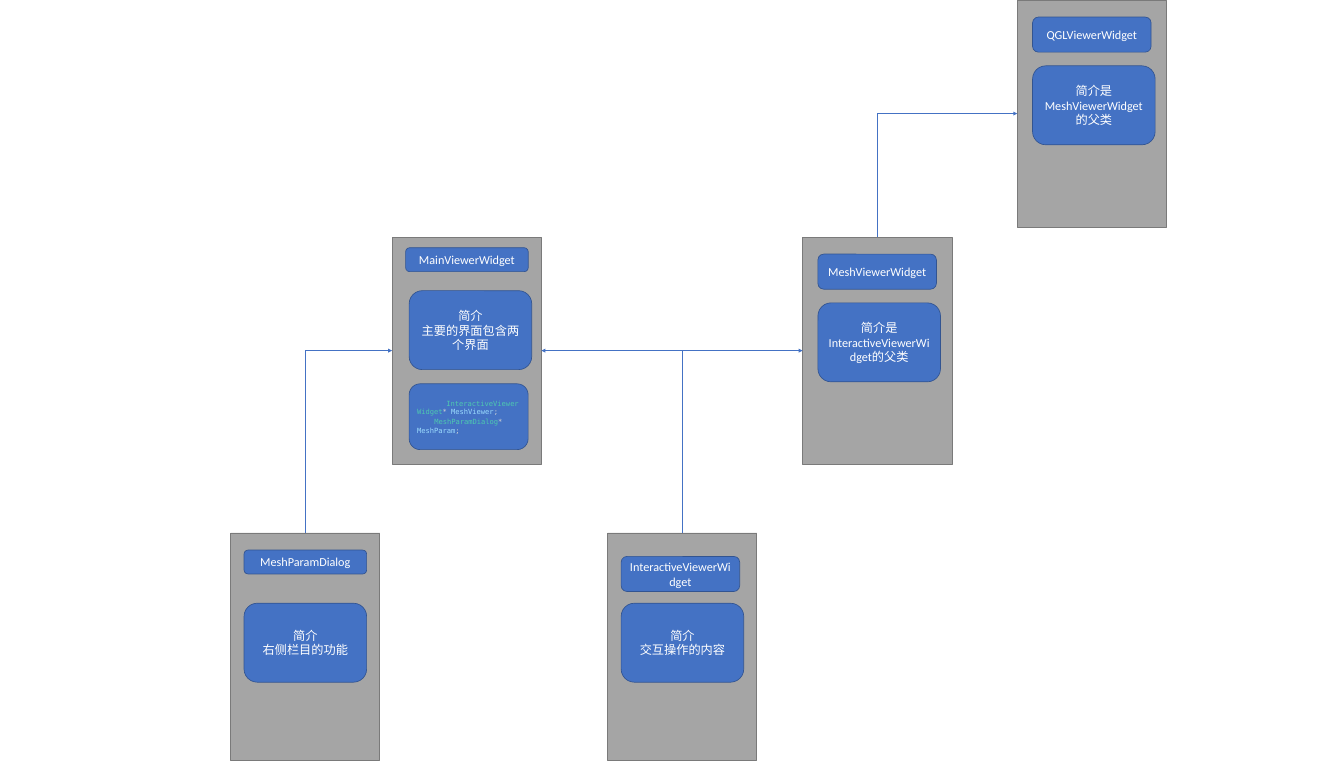
from dataclasses import dataclass

from pptx import Presentation
from pptx.dml.color import RGBColor
from pptx.enum.shapes import MSO_CONNECTOR, MSO_SHAPE
from pptx.enum.text import MSO_ANCHOR, PP_ALIGN
from pptx.oxml.ns import qn
from pptx.shapes.autoshape import Shape
from pptx.util import Pt
from lxml import etree

RECT, ROUND = MSO_SHAPE.RECTANGLE, MSO_SHAPE.ROUNDED_RECTANGLE
ELBOW = MSO_CONNECTOR.ELBOW
MIDDLE = MSO_ANCHOR.MIDDLE
CENTER, LEFT = PP_ALIGN.CENTER, PP_ALIGN.LEFT
TOP_SIDE, LEFT_SIDE, RIGHT_SIDE = 0, 1, 3

GRAY = RGBColor(0xA5, 0xA5, 0xA5)
GRAY_EDGE = RGBColor(0x7A, 0x7A, 0x7A)
BLUE = RGBColor(0x44, 0x72, 0xC4)
BLUE_EDGE = RGBColor(0x32, 0x54, 0x91)
WHITE = RGBColor(0xFF, 0xFF, 0xFF)
CODE_PLAIN = RGBColor(0xD4, 0xD4, 0xD4)
CODE_TYPE = RGBColor(0x4E, 0xC9, 0xB0)
CODE_NAME = RGBColor(0x9C, 0xDC, 0xFE)

PANEL_W, PANEL_H = 220.3, 335.5
NOTE_W, NOTE_H = 181, 116.6


@dataclass(frozen=True)
class Box:
    """A rectangle measured from the corner of its panel."""
    left: float
    top: float
    width: float
    height: float


@dataclass(frozen=True)
class Panel:
    name: str
    left: float
    top: float
    title: Box
    note_left: float
    note_top: float
    note: tuple[str, ...]


@dataclass(frozen=True)
class Link:
    start: str
    end: str


@dataclass(frozen=True)
class Member:
    type_name: str
    name: str
    indent: float
    before: float = 0
    after: float = 0


PANELS = (
    Panel("MainViewerWidget", 578.9, 350, Box(20, 15.8, 181, 35.3), 25.2, 79.2,
          ("简介", "主要的界面包含两个界面")),
    Panel("InteractiveViewerWidget", 897.1, 787, Box(20, 34.6, 175, 51.8), 20, 103.7,
          ("简介", "交互操作的内容")),
    Panel("MeshParamDialog", 340.5, 787, Box(19.8, 25.2, 181, 35.3), 19.8, 103.7,
          ("简介", "右侧栏目的功能")),
    Panel("MeshViewerWidget", 1185.1, 350, Box(22.5, 25.2, 175, 51.8), 22.5, 97.2,
          ("简介是InteractiveViewerWidget的父类",)),
    Panel("QGLViewerWidget", 1502, 0, Box(22.5, 25.2, 175, 51.8), 22.5, 97.2,
          ("简介是MeshViewerWidget的父类",)),
)
LINKS = (
    Link("InteractiveViewerWidget", "MainViewerWidget"),
    Link("MeshParamDialog", "MainViewerWidget"),
    Link("InteractiveViewerWidget", "MeshViewerWidget"),
    Link("MeshViewerWidget", "QGLViewerWidget"),
)
CODE_BOX = Box(25.2, 216.7, 175.7, 97.2)
MEMBERS = (
    Member("InteractiveViewerWidget", "MeshViewer", 43.3, before=7, after=2),
    Member("MeshParamDialog", "MeshParam", 25.3),
)


def add_block(shapes, kind: MSO_SHAPE, box: Box, fill: RGBColor, edge: RGBColor) -> Shape:
    sp = shapes.add_shape(kind, Pt(box.left), Pt(box.top), Pt(box.width), Pt(box.height))
    sp.shadow.inherit = False
    sp.fill.solid()
    sp.fill.fore_color.rgb = fill
    sp.line.color.rgb = edge
    sp.line.width = Pt(1)
    sp.text_frame.word_wrap = True
    sp.text_frame.vertical_anchor = MIDDLE
    return sp


def add_card(shapes, panel: Panel, box: Box) -> Shape:
    """Add a blue rounded card inside a panel."""
    placed = Box(panel.left + box.left, panel.top + box.top, box.width, box.height)
    return add_block(shapes, ROUND, placed, BLUE, BLUE_EDGE)


def add_run(p, text: str, font: str, size: float, color: RGBColor) -> None:
    r = p.add_run()
    r.text = text
    r.font.name = font
    r.font.size = Pt(size)
    r.font.color.rgb = color


def write_label(sp: Shape, lines: tuple[str, ...]) -> None:
    tf = sp.text_frame
    for i, line in enumerate(lines):
        p = tf.add_paragraph() if i else tf.paragraphs[0]
        p.alignment = CENTER
        add_run(p, line, "Calibri", 18, WHITE)


def write_members(sp: Shape) -> None:
    tf = sp.text_frame
    for i, member in enumerate(MEMBERS):
        p = tf.add_paragraph() if i else tf.paragraphs[0]
        p.alignment = LEFT
        p.space_before, p.space_after = Pt(member.before), Pt(member.after)
        pPr = p._p.get_or_add_pPr()
        pPr.set("marL", "0")
        pPr.set("indent", str(Pt(member.indent)))
        for text, color in ((member.type_name, CODE_TYPE), ("* ", CODE_PLAIN),
                            (member.name, CODE_NAME), (";", CODE_PLAIN)):
            add_run(p, text, "DejaVu Sans Mono", 10.5, color)


def add_panel(shapes, panel: Panel) -> Shape:
    frame = add_block(shapes, RECT, Box(panel.left, panel.top, PANEL_W, PANEL_H),
                      GRAY, GRAY_EDGE)
    write_label(add_card(shapes, panel, panel.title), (panel.name,))
    note = Box(panel.note_left, panel.note_top, NOTE_W, NOTE_H)
    write_label(add_card(shapes, panel, note), panel.note)
    return frame


def add_link(shapes, start: Shape, end: Shape) -> None:
    """Run an arrow up from the start panel, then sideways into the end panel."""
    rightward = end.left > start.left
    x1, y1 = start.left + start.width // 2, start.top
    x2 = end.left if rightward else end.left + end.width
    y2 = end.top + end.height // 2
    cxn = shapes.add_connector(ELBOW, x1, y1, x2, y2)
    cxn.begin_connect(start, TOP_SIDE)
    cxn.end_connect(end, LEFT_SIDE if rightward else RIGHT_SIDE)
    cxn.line.color.rgb = BLUE
    cxn.line.width = Pt(0.5)

    # A one-bend connector is stored turned by a quarter about its centre.
    cxn.width, cxn.height = abs(y2 - y1), abs(x2 - x1)
    cxn.left = (x1 + x2 - cxn.width) // 2
    cxn.top = (y1 + y2 - cxn.height) // 2
    spPr = cxn._element.spPr
    spPr.find(qn("a:prstGeom")).set("prst", "bentConnector2")
    xfrm = spPr.find(qn("a:xfrm"))
    xfrm.set("rot", "5400000" if rightward else "16200000")
    xfrm.set("flipH", "1" if rightward else "0")
    xfrm.set("flipV", "1")
    etree.SubElement(spPr.find(qn("a:ln")), qn("a:tailEnd"), type="triangle")
    etree.SubElement(spPr, qn("a:effectLst"))


def main() -> None:
    prs = Presentation()
    prs.slide_width, prs.slide_height = Pt(1984.3), Pt(1134)
    shapes = prs.slides.add_slide(prs.slide_layouts[6]).shapes
    frames = {panel.name: add_panel(shapes, panel) for panel in PANELS}
    write_members(add_card(shapes, PANELS[0], CODE_BOX))
    for link in LINKS:
        add_link(shapes, frames[link.start], frames[link.end])
    prs.save("out.pptx")


if __name__ == "__main__":
    main()
